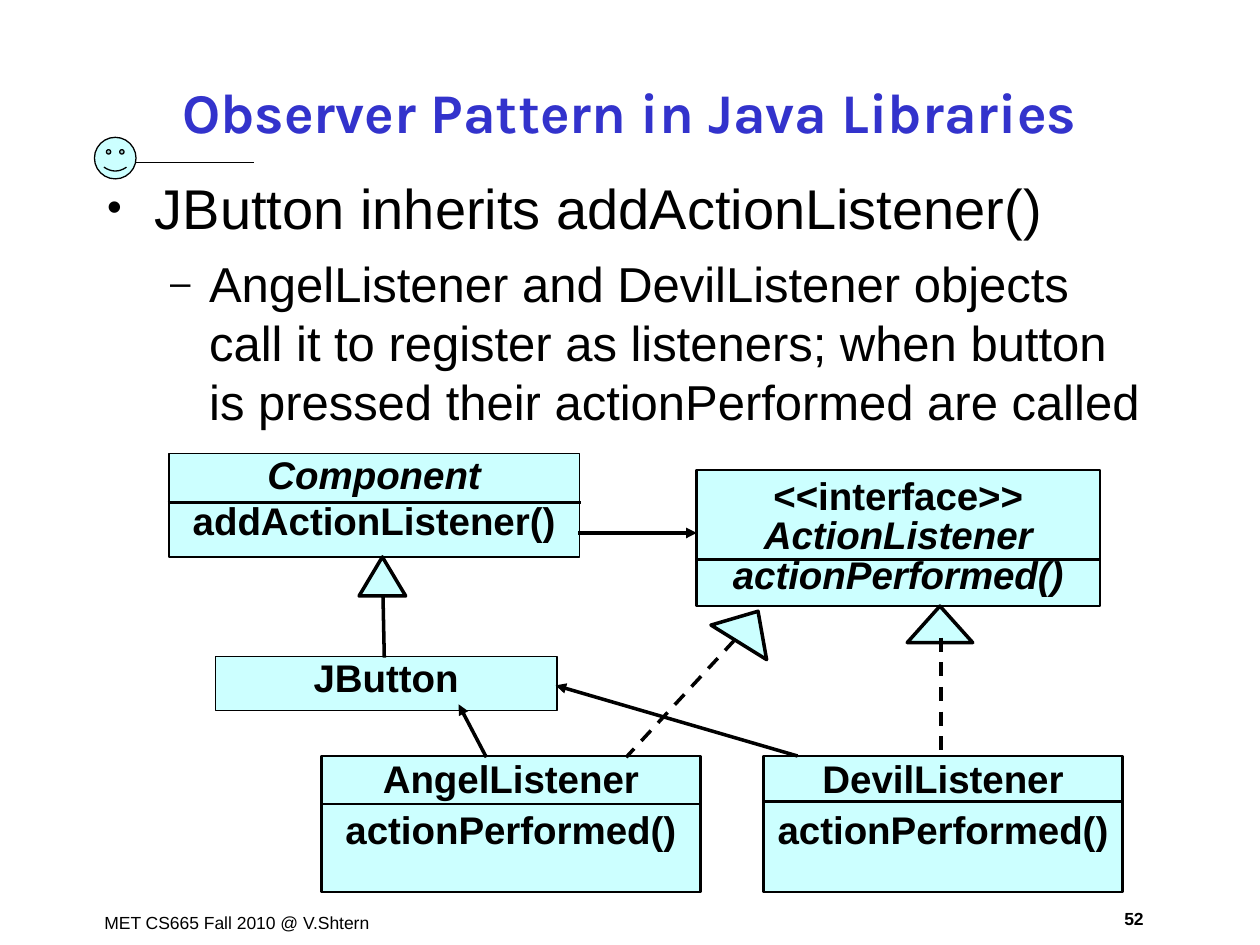
from dataclasses import dataclass

from lxml.etree import SubElement
from pptx import Presentation
from pptx.dml.color import RGBColor
from pptx.enum.dml import MSO_LINE_DASH_STYLE as DASH
from pptx.enum.shapes import MSO_CONNECTOR as CONN, MSO_SHAPE as SHAPE
from pptx.enum.text import MSO_ANCHOR as ANCHOR, MSO_AUTO_SIZE as AUTO, PP_ALIGN as ALIGN
from pptx.oxml.ns import qn
from pptx.util import Inches, Pt


@dataclass(frozen=True)
class Theme:
    ink: str = "000000"
    accent: str = "3333CC"
    fill: str = "CCFFFF"
    heading_font: str = "Karla"
    font: str = "Arial"
    title: int = 32
    bullet: int = 32
    sub_bullet: int = 28
    label: int = 22
    footer: int = 10


T = Theme()


# Shared helpers
def write(p, text, size, font=T.font, color=T.ink, bold=False, italic=False,
          align=ALIGN.LEFT, before=0, spacing=1.0):
    p.alignment, p.line_spacing, p.space_before = align, spacing, Pt(before)
    r = p.add_run()
    r.text = text
    f = r.font
    f.name, f.size, f.bold, f.italic = font, Pt(size), bold, italic
    f.color.rgb = RGBColor.from_string(color)


def place(sp, x, y, w, h):
    sp.left, sp.top, sp.width, sp.height = map(Inches, (x, y, w, h))


def add_shape(slide, kind, x, y, w, h, weight):
    sp = slide.shapes.add_shape(kind, *map(Inches, (x, y, w, h)))
    sp.shadow.inherit = False
    sp.fill.solid()
    sp.fill.fore_color.rgb = RGBColor.from_string(T.fill)
    sp.line.color.rgb = RGBColor.from_string(T.ink)
    sp.line.width = Pt(weight)
    return sp


def add_line(slide, x1, y1, x2, y2, weight=2, dashed=False, arrow=False):
    line = slide.shapes.add_connector(CONN.STRAIGHT, *map(Inches, (x1, y1, x2, y2)))
    line.line.color.rgb = RGBColor.from_string(T.ink)
    line.line.width = Pt(weight)
    if dashed:
        line.line.dash_style = DASH.DASH
    if arrow:
        SubElement(line.line._get_or_add_ln(), qn("a:tailEnd"), type="triangle")
    SubElement(line._element.spPr, qn("a:effectLst"))


def set_bullet(p, char, margin, indent):
    pPr = p._p.get_or_add_pPr()
    pPr.set("marL", str(Inches(margin)))
    pPr.set("indent", str(Inches(indent)))
    SubElement(SubElement(pPr, qn("a:buClr")), qn("a:srgbClr"), val=T.ink)
    SubElement(pPr, qn("a:buSzPct"), val="75000")
    SubElement(pPr, qn("a:buFont"), typeface=T.font)
    SubElement(pPr, qn("a:buChar"), char=char)


# Title and list
def fill_title(sp, x, y, w, h, text):
    place(sp, x, y, w, h)
    tf = sp.text_frame
    tf.auto_size, tf.vertical_anchor = AUTO.NONE, ANCHOR.MIDDLE
    write(tf.paragraphs[0], text, T.title, font=T.heading_font, color=T.accent,
          bold=True, align=ALIGN.CENTER)


def fill_body(sp, x, y, w, h, point, detail):
    place(sp, x, y, w, h)
    tf = sp.text_frame
    tf.auto_size, tf.vertical_anchor = AUTO.NONE, ANCHOR.TOP
    p = tf.paragraphs[0]
    write(p, point, T.bullet, before=8)
    set_bullet(p, "•", 0.38, -0.38)
    p = tf.add_paragraph()
    p.level = 1
    write(p, detail, T.sub_bullet, before=7)
    set_bullet(p, "–", 0.81, -0.31)


# Smiley and rule under the title
def add_ornament(slide, x, y, size, length):
    add_shape(slide, SHAPE.SMILEY_FACE, x, y, size, size, 0.75)
    add_line(slide, x + size, y + 0.2, x + size + length, y + 0.2, weight=1)


# Footer
def add_footer(slide, x, y, w, h, text, **style):
    tf = slide.shapes.add_textbox(*map(Inches, (x, y, w, h))).text_frame
    tf.word_wrap = True
    write(tf.paragraphs[0], text, T.footer, before=6.2, **style)


# Class diagram
def add_class(slide, x, y, w, h, lines, divider=None, weight=1.5, rule=1.5,
              spacing=0.9, gap=0.0, anchor=ANCHOR.TOP, inset=0.05, wrap=False):
    """Each line is a (text, italic) pair; divider is measured from the top."""
    tf = add_shape(slide, SHAPE.RECTANGLE, x, y, w, h, weight).text_frame
    tf.word_wrap, tf.vertical_anchor, tf.margin_top = wrap, anchor, Inches(inset)
    for i, (text, italic) in enumerate(lines):
        p = tf.add_paragraph() if i else tf.paragraphs[0]
        write(p, text, T.label, bold=True, italic=italic, align=ALIGN.CENTER,
              before=gap if i else 0, spacing=spacing)
    if divider:
        add_line(slide, x - 0.01, y + divider, x + w + 0.01, y + divider, rule)


def add_diagram(slide, x, y):
    # Classes
    plain = dict(weight=1, spacing=0.8, wrap=True)
    add_class(slide, x + 0.04, y, 3.26, 0.82,
              [("Component", True), ("addActionListener()", False)],
              divider=0.39, rule=2, gap=5.5, **plain)
    add_class(slide, x + 0.41, y + 1.61, 2.71, 0.43, [("JButton", False)], **plain)
    add_class(slide, x + 4.23, y + 0.13, 3.2, 1.08,
              [("<<interface>>", False), ("ActionListener", True),
               ("actionPerformed()", True)],
              divider=0.71, spacing=0.86, anchor=ANCHOR.MIDDLE)
    for name, dx, w, divider in (("AngelListener", 1.25, 3.01, 0.38),
                                 ("DevilListener", 4.76, 2.85, 0.36)):
        add_class(slide, x + dx, y + 2.4, w, 1.08,
                  [(name, False), ("actionPerformed()", False)],
                  divider=divider, gap=5.5, inset=0.03)

    # Inheritance triangles
    for dx, dy, w, h, turn in ((1.55, 0.82, 0.37, 0.31, 0),
                               (4.38, 1.23, 0.52, 0.29, 31.8),
                               (5.9, 1.21, 0.52, 0.29, 0)):
        sp = add_shape(slide, SHAPE.ISOSCELES_TRIANGLE, x + dx, y + dy, w, h, 2)
        sp.rotation = turn

    # Relations
    dashed, arrow = dict(dashed=True), dict(arrow=True)
    for x1, y1, x2, y2, style in (
            (4.53, 1.48, 3.67, 2.41, dashed),  # AngelListener realizes
            (6.17, 1.46, 6.17, 2.4, dashed),   # DevilListener realizes
            (3.29, 0.63, 4.23, 0.63, arrow),   # Component to interface
            (2.56, 2.41, 2.34, 1.99, arrow),   # AngelListener to JButton
            (5.03, 2.4, 3.11, 1.84, arrow),    # DevilListener to JButton
            (1.74, 1.14, 1.75, 1.62, {})):     # JButton extends Component
        add_line(slide, x + x1, y + y1, x + x2, y + y2, **style)


def main():
    prs = Presentation()
    prs.slide_width, prs.slide_height = Inches(10), Inches(7.5)
    slide = prs.slides.add_slide(prs.slide_layouts[1])
    add_footer(slide, 0.73, 7.19, 2.41, 0.27, "MET CS665 Fall 2010 @ V.Shtern")
    add_footer(slide, 8.73, 7.16, 0.54, 0.27, "52", bold=True, align=ALIGN.CENTER)
    add_ornament(slide, 0.75, 1.09, 0.33, 0.94)
    fill_title(slide.shapes.title, 0.75, 0.48, 8.5, 0.8,
               "Observer Pattern in Java Libraries")
    fill_body(slide.placeholders[1], 0.75, 1.33, 8.5, 5.76,
              "JButton inherits addActionListener()",
              "AngelListener and DevilListener objects call it to register as "
              "listeners; when button is pressed their actionPerformed are called")
    add_diagram(slide, 1.3, 3.6)
    prs.save("out.pptx")


if __name__ == "__main__":
    main()
